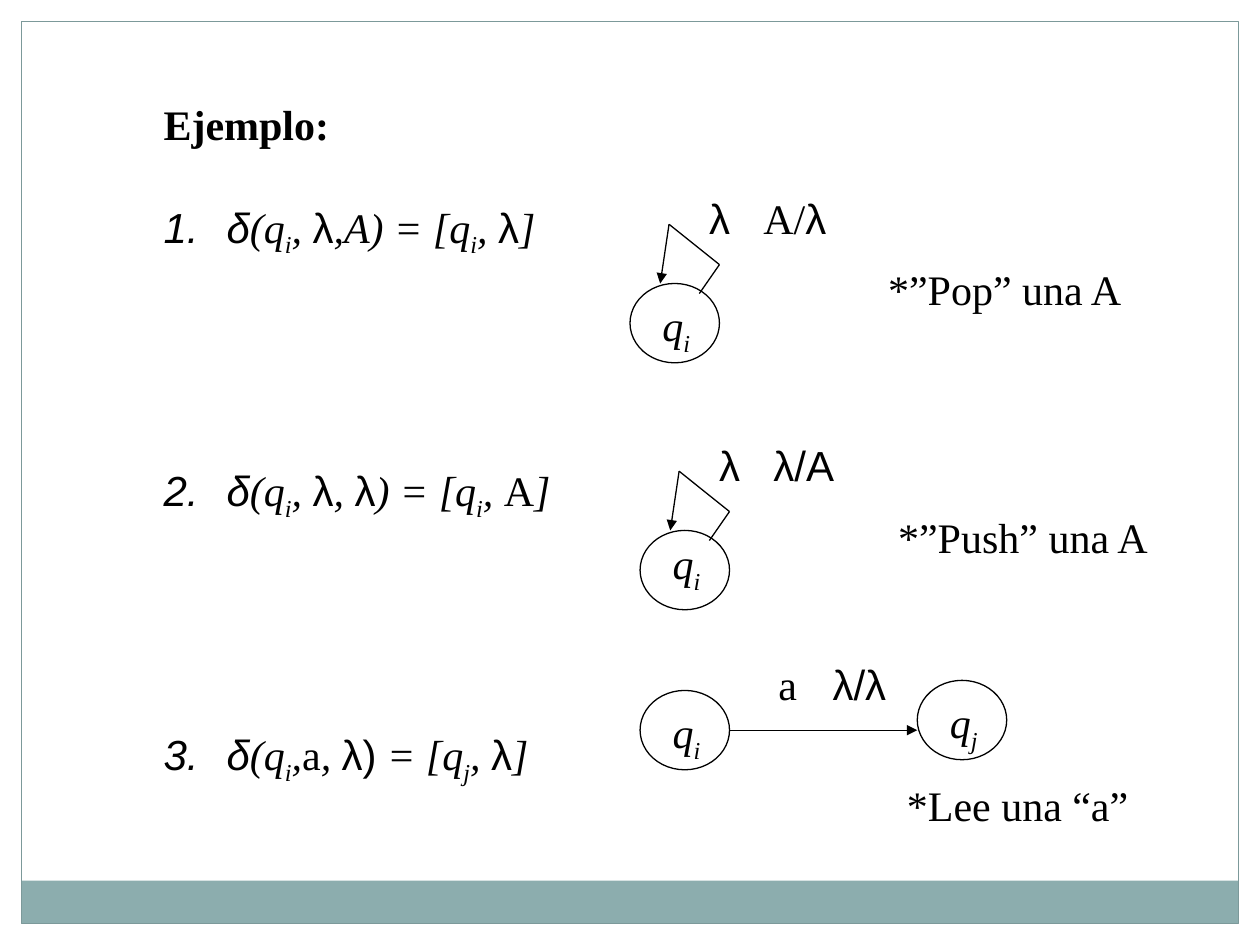
from itertools import pairwise
from lxml.etree import SubElement
from pptx import Presentation
from pptx.dml.color import RGBColor
from pptx.enum.shapes import MSO_CONNECTOR as Link, MSO_SHAPE as Kind
from pptx.enum.text import MSO_ANCHOR as Anchor, PP_ALIGN as Align
from pptx.oxml.ns import qn
from pptx.util import Inches, Pt

INK = RGBColor(0, 0, 0)
TEAL = RGBColor(0x8C, 0xAD, 0xAE)
EDGE = RGBColor(0x7C, 0x99, 0x9A)
SERIF, SANS = "Times New Roman", "Arial"
WIDE, HIGH = 0.71, 0.63  # state size

# style: font, italic, subscript
STYLES = {
    "math": (SERIF, True, False),
    "sub": (SERIF, True, True),
    "roman": (SERIF, False, False),
    "greek": (SANS, False, False),
    "delta": (SANS, True, False),
}
START = [("δ", "delta"), ("(q", "math"), ("i", "sub")]
LAMBDA, COMMA, CLOSE = ("λ", "greek"), (", ", "math"), ("]", "math")
RULES = [
    START + [COMMA, LAMBDA, (",A) = [q", "math"), ("i", "sub"),
             COMMA, LAMBDA, CLOSE],
    START + [COMMA, LAMBDA, COMMA, LAMBDA, (") = [q", "math"), ("i", "sub"),
             COMMA, ("A", "roman"), CLOSE],
    START + [(",", "math"), ("a", "roman"), COMMA, ("λ)", "greek"),
             (" = [q", "math"), ("j", "sub"), COMMA, LAMBDA, CLOSE],
]


def add_shape(slide, kind, x, y, w, h, fill=None, line=None):
    shape = slide.shapes.add_shape(
        kind, Inches(x), Inches(y), Inches(w), Inches(h))
    shape.shadow.inherit = False
    if fill is None:
        shape.fill.background()
    else:
        shape.fill.solid()
        shape.fill.fore_color.rgb = fill
    if line is None:
        shape.line.fill.background()
    else:
        shape.line.color.rgb = line
        shape.line.width = Pt(0.75)


def add_line(slide, start, end, arrow=False):
    line = slide.shapes.add_connector(
        Link.STRAIGHT, *(Inches(v) for v in (*start, *end)))
    line.line.color.rgb = INK
    line.line.width = Pt(0.75)
    if arrow:
        SubElement(line.line._get_or_add_ln(), qn("a:tailEnd"), type="triangle")
    SubElement(line._element.spPr, qn("a:effectLst"))


def add_box(slide, x, y, w, h):
    frame = slide.shapes.add_textbox(
        Inches(x), Inches(y), Inches(w), Inches(h)).text_frame
    frame.word_wrap = True
    frame.margin_right = 0
    frame.vertical_anchor = Anchor.TOP
    return frame


def set_font(para):
    para.alignment = Align.LEFT
    para.font.size = Pt(24)
    para.font.color.rgb = INK


def add_runs(para, parts):
    for text, style in parts:
        run = para.add_run()
        run.text = text
        run.font.name, run.font.italic, low = STYLES[style]
        if low:
            run._r.get_or_add_rPr().set("baseline", "-25000")


def add_label(slide, x, y, w, parts, tab=None):
    para = add_box(slide, x, y, w, 0.5).paragraphs[0]
    if tab:
        stops = SubElement(para._p.get_or_add_pPr(), qn("a:tabLst"))
        SubElement(stops, qn("a:tab"), pos=str(Inches(tab)), algn="l")
    set_font(para)
    add_runs(para, parts)


def add_move(slide, x, y, parts):
    """Label of a transition: symbol read, then stack change."""
    add_label(slide, x, y, 1.2, parts, tab=0.43)


def add_state(slide, x, y, name, drop=0.08):
    add_shape(slide, Kind.OVAL, x, y, WIDE, HIGH, line=INK)
    add_label(slide, x + 0.16, y + drop, 0.43, [("q", "math"), (name, "sub")])


def add_loop(slide, x, y, parts, drop):
    """State with a transition to itself."""
    add_state(slide, x, y, "i", drop)
    bends = [(x + 0.55, y + 0.08), (x + WIDE, y - 0.15),
             (x + 0.31, y - 0.47), (x + 0.24, y)]
    for start, end in pairwise(bends):
        add_line(slide, start, end, arrow=end == bends[-1])
    add_move(slide, x + 0.53, y - 0.77, parts)


def add_step(slide, x, y):
    """Transition between two states."""
    add_state(slide, x, y, "i")
    add_state(slide, x + 2.2, y - 0.08, "j")
    mid = y + HIGH / 2
    add_line(slide, (x + WIDE, mid), (x + 2.2, mid), arrow=True)
    add_move(slide, x + 1, y - 0.3, [("a", "roman"), ("\tλ/λ", "greek")])


def add_rules(slide, x, y, w, h):
    frame = add_box(slide, x, y, w, h)
    title = frame.paragraphs[0]
    title.text = "Ejemplo:"
    set_font(title)
    title.font.name = SERIF
    title.font.bold = True
    for parts, gap in zip(RULES, (30, 118, 118)):
        para = frame.add_paragraph()
        para.space_before = Pt(gap)
        props = para._p.get_or_add_pPr()
        props.set("marL", str(Inches(0.5)))
        props.set("indent", str(-Inches(0.5)))
        SubElement(props, qn("a:buFont"), typeface=SANS)
        SubElement(props, qn("a:buAutoNum"), type="arabicPeriod")
        set_font(para)
        add_runs(para, parts)


def add_frame(slide, x, y, w, h):
    add_shape(slide, Kind.RECTANGLE, x, y + h - 0.34, w, 0.34, fill=TEAL)
    add_shape(slide, Kind.RECTANGLE, x, y, w, h, line=EDGE)


def main():
    deck = Presentation()
    deck.slide_width, deck.slide_height = Inches(10), Inches(7.5)
    slide = deck.slides.add_slide(deck.slide_layouts[6])
    add_frame(slide, 0.17, 0.17, 9.66, 7.16)
    add_rules(slide, 1.2, 0.73, 3.8, 6.06)
    add_loop(slide, 5, 2.25,
             [LAMBDA, ("\tA/", "roman"), LAMBDA], 0.08)
    add_loop(slide, 5.08, 4.21, [("λ\tλ/Α", "greek")], 0.01)
    add_step(slide, 5.08, 5.48)
    notes = [(6.95, 2.04, "*”Pop” una A"), (7.03, 4.01, "*”Push” una A"),
             (7.1, 6.14, "*Lee una “a”")]
    for x, y, text in notes:
        add_label(slide, x, y, 2.2, [(text, "roman")])
    deck.save("out.pptx")


if __name__ == "__main__":
    main()
